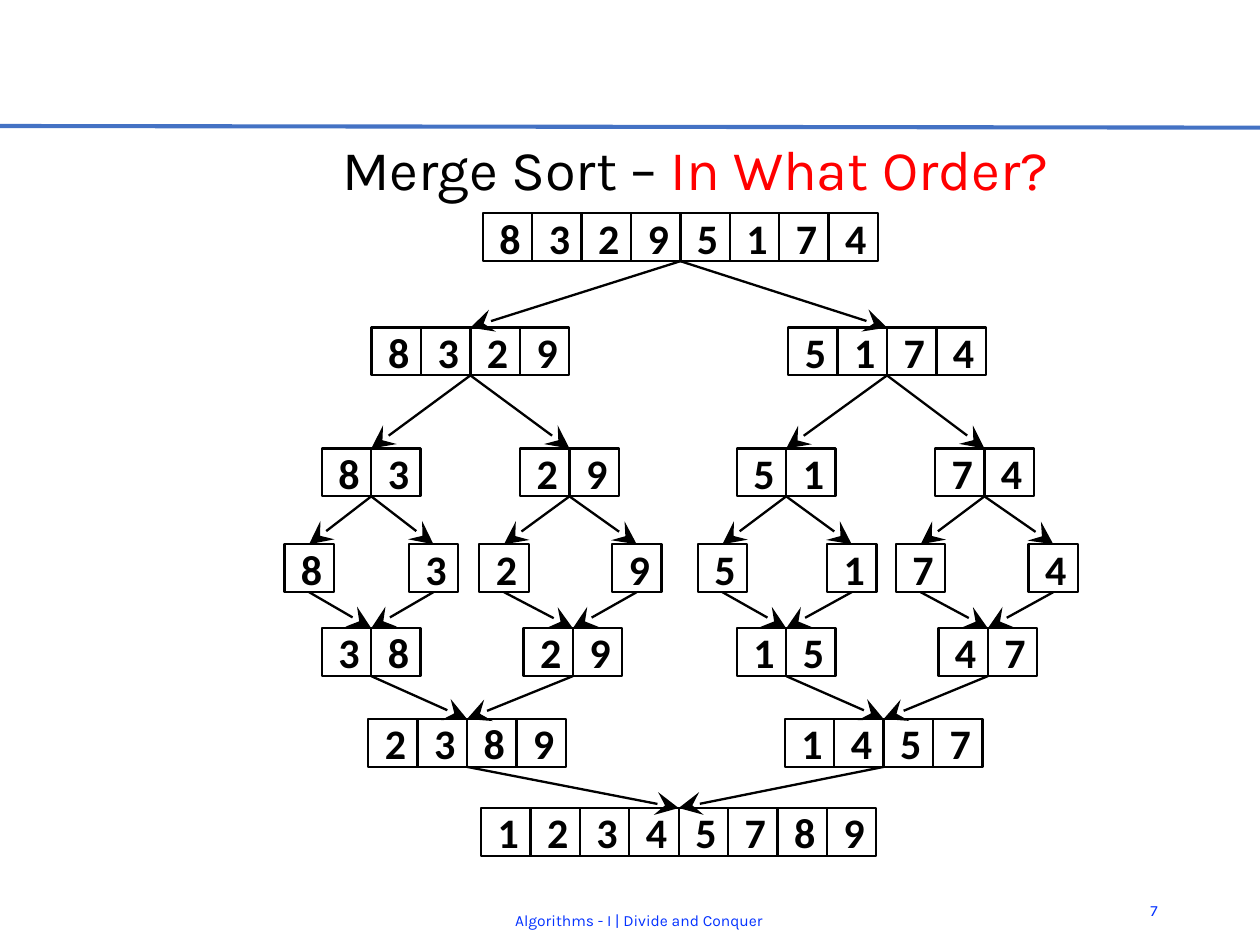
import lxml.etree
import pptx
import pptx.dml.color
import pptx.enum.shapes
import pptx.enum.text
import pptx.oxml.ns
import pptx.util

COLUMNS, ROWS = 75, 56.25
CELL_PITCH, CELL_HEIGHT = 2.94, 2.85
COLORS = {"ink": "000000", "question": "FF0000", "rule": "4472C4", "footer": "0432FF"}
ALIGN = pptx.enum.text.PP_ALIGN
LEVELS = [
    (0, {23.6: "83295174"}),
    (6.8, {11.1: "8329", 35.9: "5174"}),
    (14, {5.2: "83", 17: "29", 29.9: "51", 41.7: "74"}),
    (19.7, {1.5: "8", 8.9: "3", 13.1: "2", 21: "9",
            26.1: "5", 33.8: "1", 37.9: "7", 45.8: "4"}),
    (24.7, {5.2: "38", 17.2: "29", 29.9: "15", 41.9: "47"}),
    (30.1, {10.9: "2389", 35.7: "1457"}),
    (35.4, {23.5: "12345789"}),
]


def grid(units):
    return pptx.util.Inches(units / 10)


def color(name):
    return pptx.dml.color.RGBColor.from_string(COLORS[name])


def add_run(paragraph, text, font_name, size, color_name, bold=False):
    run = paragraph.add_run()
    run.text = text
    run.font.name = font_name
    run.font.size = pptx.util.Pt(size)
    run.font.bold = bold
    run.font.color.rgb = color(color_name)


def add_label(slide, box, runs, size, align, inset=None):
    label = slide.shapes.add_textbox(*map(grid, box))
    frame = label.text_frame
    frame.word_wrap = True
    frame.vertical_anchor = pptx.enum.text.MSO_ANCHOR.MIDDLE
    if inset is not None:
        frame.margin_left = frame.margin_right = grid(inset)
        frame.margin_top = frame.margin_bottom = grid(inset)
    paragraph = frame.paragraphs[0]
    paragraph.alignment = align
    for text, color_name in runs:
        add_run(paragraph, text, "Karla", size, color_name)


def add_line(slide, start, end, color_name, width, arrow=False):
    line = slide.shapes.add_connector(
        pptx.enum.shapes.MSO_CONNECTOR.STRAIGHT, *map(grid, start + end))
    line.line.color.rgb = color(color_name)
    line.line.width = pptx.util.Pt(width)
    qn = pptx.oxml.ns.qn
    if arrow:
        lxml.etree.SubElement(line.line._get_or_add_ln(), qn("a:tailEnd"),
                              type="stealth", w="lg", len="lg")
    lxml.etree.SubElement(line._element.spPr, qn("a:effectLst"))


def add_array(slide, center, top, digits):
    left = center - len(digits) * CELL_PITCH / 2
    array = slide.shapes.add_group_shape()
    for index, digit in enumerate(digits):
        cell = array.shapes.add_shape(
            pptx.enum.shapes.MSO_SHAPE.RECTANGLE, grid(left + index * CELL_PITCH),
            grid(top), grid(CELL_PITCH), grid(CELL_HEIGHT))
        cell.shadow.inherit = False
        cell.fill.background()
        cell.line.color.rgb = color("ink")
        cell.line.width = pptx.util.Pt(1)
        cell.text_frame.word_wrap = True
        cell.text_frame.vertical_anchor = pptx.enum.text.MSO_ANCHOR.MIDDLE
        paragraph = cell.text_frame.paragraphs[0]
        paragraph.alignment = ALIGN.CENTER
        add_run(paragraph, digit, "Calibri", 18, "ink", bold=True)


def add_merge_tree(slide, box):
    left, top = box[:2]
    levels = [(top + offset, [(left + center, digits) for center, digits in arrays.items()])
              for offset, arrays in LEVELS]
    for level_top, arrays in levels:
        for center, digits in arrays:
            add_array(slide, center, level_top, digits)
    for (upper_top, uppers), (lower_top, lowers) in zip(levels, levels[1:]):
        link_count = max(len(uppers), len(lowers))
        for index in range(link_count):
            source = uppers[index * len(uppers) // link_count][0]
            target = lowers[index * len(lowers) // link_count][0]
            add_line(slide, (source, upper_top + CELL_HEIGHT), (target, lower_top),
                     "ink", 1, arrow=True)


def add_heading(slide, box):
    left, top, width, height = box
    add_line(slide, (left, top), (left + width, top + 0.1), "rule", 1.75)
    add_label(slide, (left + 10.95, top + 0.45, 60.9, height - 0.4),
              [("Merge Sort – ", "ink"), ("In What Order?", "question")],
              24, ALIGN.CENTER, inset=0)


def add_footer(slide, box):
    left, top, width, height = box
    add_label(slide, (left + 15.8, top + 0.6, 44.5, height),
              [("Algorithms - I | Divide and Conquer", "footer")], 6.75, ALIGN.CENTER)
    add_label(slide, (left + 66.2, top, 3.7, height), [("7", "footer")], 6.75, ALIGN.RIGHT)


def main():
    presentation = pptx.Presentation()
    presentation.slide_width = grid(COLUMNS)
    presentation.slide_height = grid(ROWS)
    slide = presentation.slides.add_slide(presentation.slide_layouts[6])
    add_heading(slide, (0, 7.5, COLUMNS, 4.5))
    add_merge_tree(slide, (16.9, 12.7, 47.3, 38.2))
    add_footer(slide, (0, 52.7, COLUMNS, 3))
    presentation.save("out.pptx")


if __name__ == "__main__":
    main()
